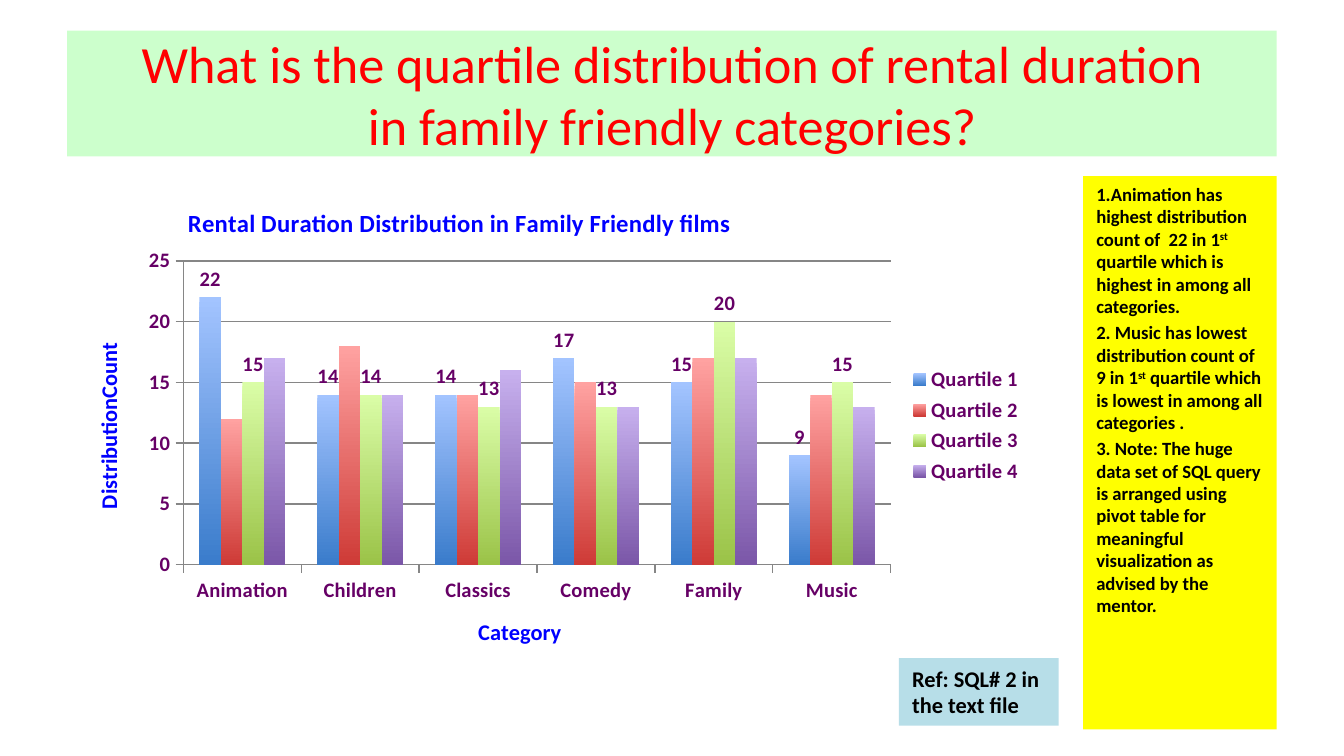
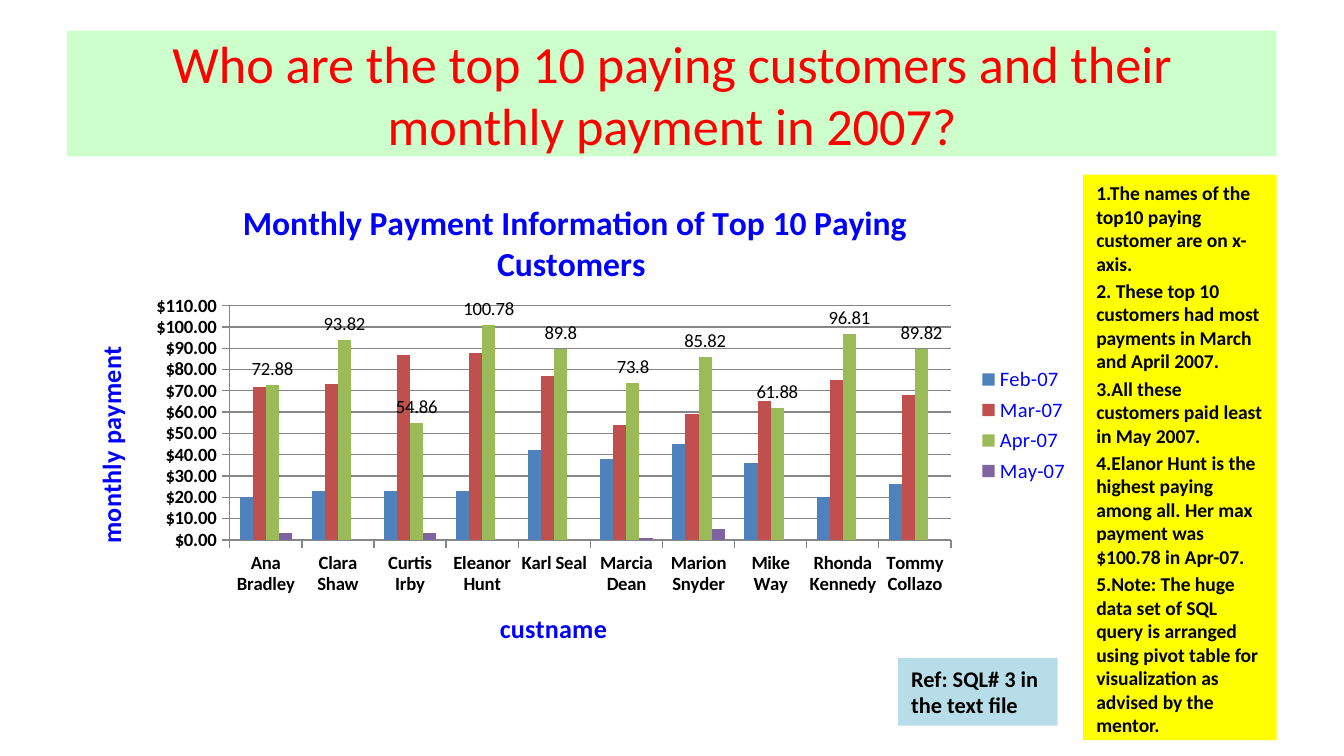
from dataclasses import dataclass
from typing import Any, Optional

import lxml.etree
import pptx
import pptx.chart.data
import pptx.dml.color
import pptx.enum.chart
import pptx.enum.shapes
import pptx.enum.text
import pptx.oxml.ns
import pptx.util

Cm = pptx.util.Cm
Pt = pptx.util.Pt

FONT = "Calibri"
COLORS = {
    "title_band": "CCFFCC", "title_text": "FF0000",
    "findings": "FFFF00", "reference": "B7DEE8",
    "black": "000000", "blue": "0000FF", "plum": "660066", "grid": "868686",
}
SERIES_COLORS = ["4F81BD", "C0504D", "9BBB59", "8064A2"]
SERIES_GRADIENTS = [("A3C4FF", "3A7CCB"), ("FFA2A1", "CE3B37"),
                    ("DAFDA7", "9BC348"), ("C7B0EE", "7B57A8")]


@dataclass
class Box:
    left: float
    top: float
    width: float
    height: float

    def lengths(self) -> tuple:
        return Cm(self.left), Cm(self.top), Cm(self.width), Cm(self.height)


@dataclass
class ChartDesign:
    box: Box
    plot: dict[str, float]
    title: str
    title_size: float
    title_place: Optional[dict[str, float]]
    axis_titles: tuple[str, str]
    axis_title_size: float
    categories: list[str]
    series: dict[str, list]
    labelled: set[str]
    maximum: float
    major_unit: float
    number_format: str
    size: float
    color: str
    label_bold: bool
    legend_size: float
    legend_color: str
    gradient: bool


@dataclass
class SlideDesign:
    title: str
    findings: list[str]  # "^" surrounds superscript text
    findings_box: Box
    findings_size: float
    reference: str
    reference_left: float
    chart: ChartDesign


def rgb(name: str) -> pptx.dml.color.RGBColor:
    return pptx.dml.color.RGBColor.from_string(COLORS.get(name, name))


def style_font(font: Any, size: float, color: str, bold: bool = False) -> None:
    font.name = FONT
    font.size = Pt(size)
    font.bold = bold
    font.color.rgb = rgb(color)


def add_panel(slide: Any, box: Box, fill: str, paragraphs: list[str], size: float,
              color: str = "black", bold: bool = True, space: float = 0) -> Any:
    """Filled rectangle with left-aligned text at the top."""
    shape = slide.shapes.add_shape(pptx.enum.shapes.MSO_SHAPE.RECTANGLE, *box.lengths())
    shape.shadow.inherit = False
    shape.fill.solid()
    shape.fill.fore_color.rgb = rgb(fill)
    shape.line.fill.background()
    text_frame = shape.text_frame
    text_frame.word_wrap = True
    text_frame.vertical_anchor = pptx.enum.text.MSO_ANCHOR.TOP
    for index, text in enumerate(paragraphs):
        paragraph = text_frame.paragraphs[0] if index == 0 else text_frame.add_paragraph()
        paragraph.alignment = pptx.enum.text.PP_ALIGN.LEFT
        paragraph.space_before = Pt(space)
        for position, part in enumerate(text.split("^")):
            if position == 0:
                paragraph.text = part
            else:
                paragraph.add_run().text = part
            if position % 2:
                paragraph.runs[-1].font._element.set("baseline", "30000")
        for run in paragraph.runs:
            style_font(run.font, size, color, bold)
    return shape


def place(element: Any, index: int, fractions: dict[str, float], inner: bool = False) -> None:
    """Fix the position of a chart part as fractions of the chart."""
    qn = pptx.oxml.ns.qn
    for old in element.findall(qn("c:layout")):
        element.remove(old)
    layout = lxml.etree.Element(qn("c:layout"))
    manual = lxml.etree.SubElement(layout, qn("c:manualLayout"))
    settings = {"layoutTarget": "inner"} if inner else {}
    settings |= {"xMode": "edge", "yMode": "edge"} | fractions
    for tag, value in settings.items():
        lxml.etree.SubElement(manual, qn(f"c:{tag}")).set("val", str(value))
    element.insert(index, layout)


def write_chart_text(text_frame: Any, text: str, size: float) -> None:
    text_frame.text = text
    style_font(text_frame.paragraphs[0].runs[0].font, size, "blue", True)


def style_axes(chart: Any, design: ChartDesign) -> None:
    for axis, title in zip((chart.category_axis, chart.value_axis), design.axis_titles):
        axis.major_tick_mark = pptx.enum.chart.XL_TICK_MARK.OUTSIDE
        axis.format.line.color.rgb = rgb("grid")
        style_font(axis.tick_labels.font, design.size, design.color, True)
        write_chart_text(axis.axis_title.text_frame, title, design.axis_title_size)
    axis = chart.value_axis
    body = axis.axis_title.text_frame._txBody.bodyPr
    body.set("rot", "-5400000")
    body.set("vert", "horz")
    axis.minimum_scale, axis.maximum_scale = 0, design.maximum
    axis.major_unit = design.major_unit
    axis.has_major_gridlines = True
    axis.major_gridlines.format.line.color.rgb = rgb("grid")
    axis.tick_labels.number_format = design.number_format
    axis.tick_labels.number_format_is_linked = False


def style_series(plot: Any, design: ChartDesign) -> None:
    for series, color, stops in zip(plot.series, SERIES_COLORS, SERIES_GRADIENTS):
        fill = series.format.fill
        if design.gradient:
            fill.gradient()
            fill.gradient_angle = 270
            for stop, stop_color in zip(fill.gradient_stops, stops):
                stop.color.rgb = rgb(stop_color)
        else:
            fill.solid()
            fill.fore_color.rgb = rgb(color)
        if series.name in design.labelled:
            labels = series.data_labels
            labels.show_value = True
            labels.position = pptx.enum.chart.XL_LABEL_POSITION.OUTSIDE_END
            style_font(labels.font, design.size, design.color, design.label_bold)


def add_column_chart(slide: Any, design: ChartDesign) -> None:
    data = pptx.chart.data.CategoryChartData()
    data.categories = design.categories
    for name, values in design.series.items():
        data.add_series(name, values)
    chart = slide.shapes.add_chart(pptx.enum.chart.XL_CHART_TYPE.COLUMN_CLUSTERED,
                                   *design.box.lengths(), data).chart
    style_font(chart.font, design.size, design.color, design.label_bold)
    chart.has_title = True
    write_chart_text(chart.chart_title.text_frame, design.title, design.title_size)
    if design.title_place:
        place(chart.chart_title._element, 1, design.title_place)
    chart.has_legend = True
    chart.legend.position = pptx.enum.chart.XL_LEGEND_POSITION.RIGHT
    chart.legend.include_in_layout = False
    style_font(chart.legend.font, design.legend_size, design.legend_color, design.label_bold)
    plot = chart.plots[0]
    plot.gap_width = 150
    plot.vary_by_categories = False
    style_axes(chart, design)
    style_series(plot, design)
    place(chart._chartSpace.chart.plotArea, 0, design.plot, inner=True)


def build_slide(presentation: Any, design: SlideDesign) -> None:
    slide = presentation.slides.add_slide(presentation.slide_layouts[6])
    # Title band
    band = add_panel(slide, Box(1.27, 0.58, 22.86, 2.38), "title_band", [design.title],
                     28, "title_text", bold=False)
    band.text_frame.vertical_anchor = pptx.enum.text.MSO_ANCHOR.MIDDLE
    band.text_frame.paragraphs[0].alignment = pptx.enum.text.PP_ALIGN.CENTER
    # Chart, findings and query reference
    add_column_chart(slide, design.chart)
    add_panel(slide, design.findings_box, "findings", design.findings,
              design.findings_size, space=2)
    reference = add_panel(slide, Box(design.reference_left, 12.44, 3.02, 1.28), "reference",
                          [design.reference], 12)
    reference.text_frame.auto_size = pptx.enum.text.MSO_AUTO_SIZE.SHAPE_TO_FIT_TEXT


RENTAL_CHART = ChartDesign(
    box=Box(1.27, 3.33, 18.31, 9.42),
    plot={"x": 0.12, "y": 0.17, "w": 0.73, "h": 0.61},
    title="Rental Duration Distribution in Family Friendly films",
    title_size=13.2, title_place={"x": 0.12, "y": 0.05},
    axis_titles=("Category", "DistributionCount"), axis_title_size=12,
    categories=["Animation", "Children", "Classics", "Comedy", "Family", "Music"],
    series={
        "Quartile 1": [22, 14, 14, 17, 15, 9],
        "Quartile 2": [12, 18, 14, 15, 17, 14],
        "Quartile 3": [15, 14, 13, 13, 20, 15],
        "Quartile 4": [17, 14, 16, 13, 17, 13],
    },
    labelled={"Quartile 1", "Quartile 3"},
    maximum=25, major_unit=5, number_format="General",
    size=11, color="plum", label_bold=True,
    legend_size=11, legend_color="plum", gradient=True,
)

PAYMENT_CHART = ChartDesign(
    box=Box(1.27, 3.33, 19.2, 9.42),
    plot={"x": 0.16, "y": 0.26, "w": 0.71, "h": 0.47},
    title="Monthly Payment Information of Top 10 Paying Customers ",
    title_size=18, title_place=None,
    axis_titles=("custname", "monthly payment"), axis_title_size=14,
    categories=["Ana Bradley", "Clara Shaw", "Curtis Irby", "Eleanor Hunt", "Karl Seal",
                "Marcia Dean", "Marion Snyder", "Mike Way", "Rhonda Kennedy",
                "Tommy Collazo"],
    series={
        "Feb-07": [20, 23, 23, 23, 42, 38, 45, 36, 20, 26],
        "Mar-07": [72, 73, 87, 88, 77, 54, 59, 65, 75, 68],
        "Apr-07": [72.88, 93.82, 54.86, 100.78, 89.8, 73.8, 85.82, 61.88, 96.81, 89.82],
        "May-07": [3, None, 3, None, None, 1, 5, None, None, None],
    },
    labelled={"Apr-07"},
    maximum=110, major_unit=10, number_format='"$"#,##0.00',
    size=10, color="black", label_bold=False,
    legend_size=11, legend_color="blue", gradient=False,
)

SLIDES = [
    SlideDesign(
        title="What is the quartile distribution of rental duration\v"
              "in family friendly categories?",
        findings=[
            "1.Animation has highest distribution count of  22 in 1^st^ quartile which is "
            "highest in among all categories.",
            "2. Music has lowest distribution count of 9 in 1^st^ quartile which is lowest "
            "in among all categories .",
            "3. Note: The huge data set of SQL query is arranged using pivot table for "
            "meaningful visualization as advised by the mentor.",
        ],
        findings_box=Box(20.47, 3.33, 3.66, 10.46), findings_size=10,
        reference="Ref: SQL# 2 in the text file", reference_left=16.99,
        chart=RENTAL_CHART,
    ),
    SlideDesign(
        title="Who are the top 10 paying customers and their monthly payment in 2007?",
        findings=[
            "1.The names of the top10 paying customer are on x-axis.",
            "2. These top 10 customers had most payments in March and April 2007.",
            "3.All these customers paid least in May 2007.",
            "4.Elanor Hunt is the  highest paying among all. Her max payment was $100.78 "
            "in Apr-07.",
            "5.Note: The huge data set of SQL query is arranged using pivot table for "
            "visualization as advised by the mentor.",
        ],
        findings_box=Box(20.47, 3.3, 3.66, 10.69), findings_size=10.5,
        reference="Ref: SQL# 3 in the text file", reference_left=16.97,
        chart=PAYMENT_CHART,
    ),
]


def main() -> None:
    presentation = pptx.Presentation()
    presentation.slide_width = Cm(25.4)
    presentation.slide_height = Cm(14.29)
    for design in SLIDES:
        build_slide(presentation, design)
    presentation.save("out.pptx")


if __name__ == "__main__":
    main()
